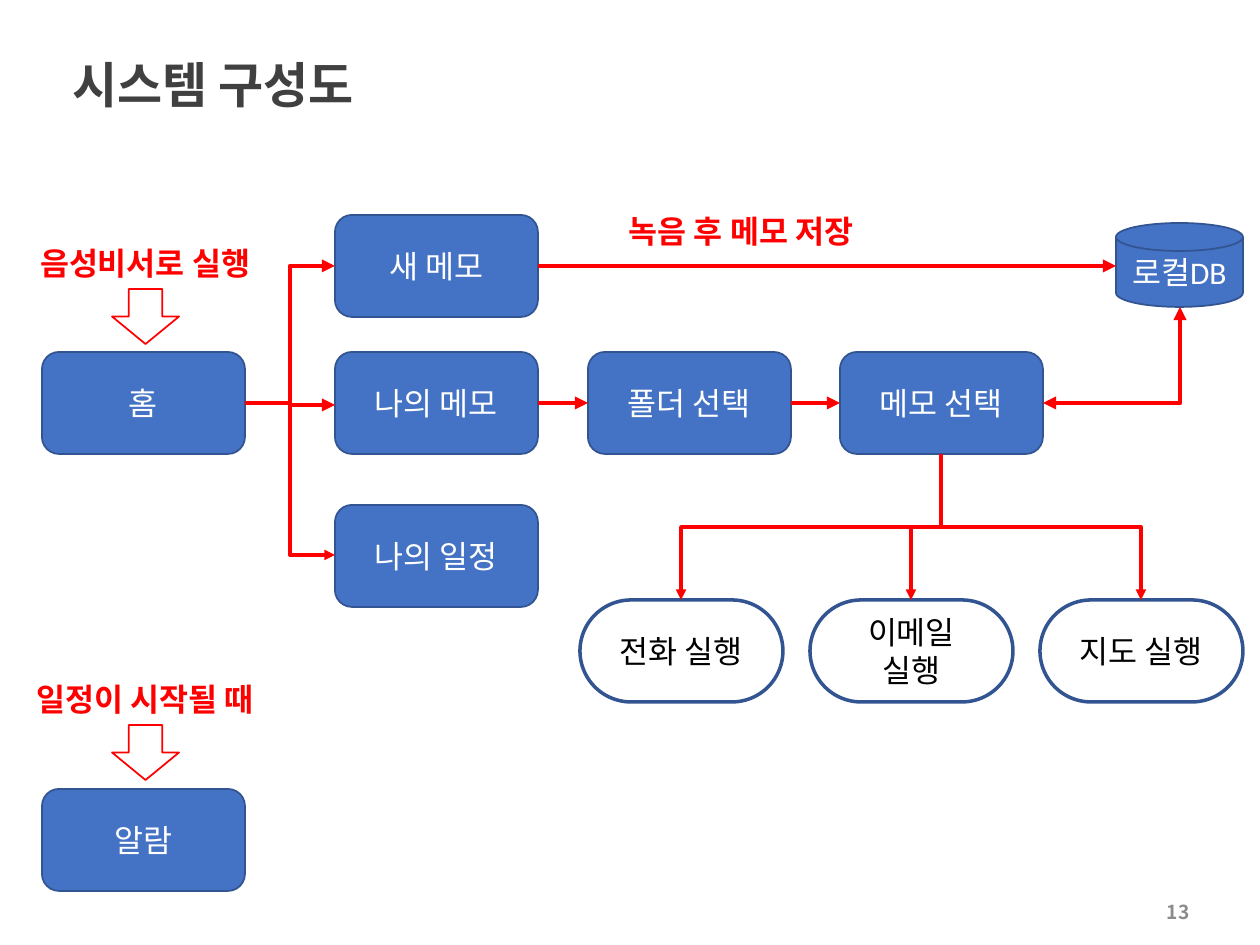
from typing import NamedTuple, Optional

import pptx
import pptx.dml.color
import pptx.enum.shapes
import pptx.enum.text
import pptx.oxml
import pptx.oxml.ns
import pptx.util

RGBColor = pptx.dml.color.RGBColor
Kind = pptx.enum.shapes.MSO_SHAPE
Link = pptx.enum.shapes.MSO_CONNECTOR
Anchor = pptx.enum.text.MSO_ANCHOR
Align = pptx.enum.text.PP_ALIGN
Pt = pptx.util.Pt

BLUE = RGBColor(0x44, 0x72, 0xC4)
NAVY = RGBColor(0x32, 0x54, 0x91)
RED = RGBColor(0xFF, 0x00, 0x00)
WHITE = RGBColor(0xFF, 0xFF, 0xFF)
BLACK = RGBColor(0x00, 0x00, 0x00)
TITLE_GREY = RGBColor(0x40, 0x40, 0x40)
NUMBER_GREY = RGBColor(0x8C, 0x8C, 0x8C)

KOREAN_FONT = "Noto Sans CJK KR"
LATIN_FONT = "Calibri"
PX_PER_INCH = 126

# Grid of the diagram, in px
BOX_W, BOX_H = 203, 102
HOME_X, MENU_X, FOLDER_X, MEMO_X = 42, 335, 588, 840
NEW_Y, MAIN_Y, SCHEDULE_Y, ALARM_Y = 215, 352, 505, 789
ACTION_X, ACTION_Y, ACTION_STEP = 580, 600, 230
DB_X, DB_Y, DB_W, DB_H = 1116, 223, 127, 84
NEW_MID, MAIN_MID, SCHEDULE_MID = 266, 403, 555


class Style(NamedTuple):
    kind: int
    fill: Optional[RGBColor]
    outline: RGBColor
    weight: int
    ink: RGBColor
    rounding: Optional[float] = None


class Node(NamedTuple):
    text: str
    x: int
    y: int
    style: Style
    w: int = BOX_W
    h: int = BOX_H


class Label(NamedTuple):
    text: str
    x: int
    y: int
    w: int


class Flow(NamedTuple):
    start: tuple[int, int]
    end: tuple[int, int]
    weight: float = 2.5
    route: str = "straight"
    both_ends: bool = False


SCREEN = Style(Kind.ROUNDED_RECTANGLE, BLUE, NAVY, 1, WHITE)
ACTION = Style(Kind.ROUNDED_RECTANGLE, None, NAVY, 2, BLACK, 0.5)
DATABASE = Style(Kind.FLOWCHART_MAGNETIC_DISK, BLUE, NAVY, 1, WHITE)
TRIGGER = Style(Kind.DOWN_ARROW, None, RED, 1, RED)

ACTIONS = ["전화 실행", "이메일 실행", "지도 실행"]
NODES = [
    Node("홈", HOME_X, MAIN_Y, SCREEN),
    Node("새 메모", MENU_X, NEW_Y, SCREEN),
    Node("나의 메모", MENU_X, MAIN_Y, SCREEN),
    Node("나의 일정", MENU_X, SCHEDULE_Y, SCREEN),
    Node("폴더 선택", FOLDER_X, MAIN_Y, SCREEN),
    Node("메모 선택", MEMO_X, MAIN_Y, SCREEN),
    Node("알람", HOME_X, ALARM_Y, SCREEN),
    Node("로컬DB", DB_X, DB_Y, DATABASE, DB_W, DB_H),
    Node("", 112, 289, TRIGGER, 67, 55),
    Node("", 112, 725, TRIGGER, 67, 55),
] + [
    Node(action, ACTION_X + i * ACTION_STEP, ACTION_Y, ACTION)
    for i, action in enumerate(ACTIONS)
]

LABELS = [
    Label("음성비서로 실행", 17, 238, 256),
    Label("녹음 후 메모 저장", 606, 206, 270),
    Label("일정이 시작될 때", 14, 674, 262),
]

HOME_EXIT = (HOME_X + BOX_W, MAIN_MID)
MEMO_EXIT = (MEMO_X + BOX_W // 2, MAIN_Y + BOX_H)
FLOWS = [
    Flow(HOME_EXIT, (MENU_X, NEW_MID), route="across"),
    Flow(HOME_EXIT, (MENU_X, MAIN_MID + 2), route="across"),
    Flow(HOME_EXIT, (MENU_X, SCHEDULE_MID), 2, "across"),
    Flow((MENU_X + BOX_W, NEW_MID), (DB_X, NEW_MID)),
    Flow((MENU_X + BOX_W, MAIN_MID), (FOLDER_X, MAIN_MID)),
    Flow((FOLDER_X + BOX_W, MAIN_MID), (MEMO_X, MAIN_MID)),
    Flow((MEMO_X + BOX_W, MAIN_MID), (DB_X + DB_W // 2 + 1, DB_Y + DB_H),
         route="corner", both_ends=True),
] + [
    Flow(MEMO_EXIT, (ACTION_X + i * ACTION_STEP + BOX_W // 2, ACTION_Y), 2, "down")
    for i in range(len(ACTIONS))
]


def px(length: float) -> int:
    return round(length * 914400 / PX_PER_INCH)


def write(frame, text: str, size: int, ink: RGBColor, align=Align.CENTER,
          bold: bool = False, font: str = LATIN_FONT) -> None:
    paragraph = frame.paragraphs[0]
    paragraph.alignment = align
    run = paragraph.add_run()
    run.text = text
    run.font.size = Pt(size)
    run.font.bold = bold
    run.font.name = font
    run.font.color.rgb = ink
    east_asian = pptx.oxml.ns.qn("a:ea")
    run.font._element.get_or_add_latin().addnext(
        run.font._element.makeelement(east_asian, {"typeface": KOREAN_FONT}))


def draw_node(slide, node: Node) -> None:
    style = node.style
    shape = slide.shapes.add_shape(
        style.kind, px(node.x), px(node.y), px(node.w), px(node.h))
    shape.shadow.inherit = False
    if style.rounding is not None:
        shape.adjustments[0] = style.rounding
    if style.fill is None:
        shape.fill.background()
    else:
        shape.fill.solid()
        shape.fill.fore_color.rgb = style.fill
    shape.line.color.rgb = style.outline
    shape.line.width = Pt(style.weight)
    if node.text:
        shape.text_frame.vertical_anchor = Anchor.MIDDLE
        write(shape.text_frame, node.text, 18, style.ink)


def draw_label(slide, label: Label) -> None:
    box = slide.shapes.add_textbox(px(label.x), px(label.y), px(label.w), px(51))
    box.text_frame.word_wrap = False
    write(box.text_frame, label.text, 18, RED, bold=True)


def draw_flow(slide, flow: Flow) -> None:
    (x1, y1), (x2, y2) = flow.start, flow.end
    if flow.route == "down":
        # Lay the elbow on its side about its centre; a quarter turn stands it up
        cx, cy, dx, dy = (x1 + x2) / 2, (y1 + y2) / 2, x2 - x1, y2 - y1
        x1, y1, x2, y2 = cx - dy / 2, cy + dx / 2, cx + dy / 2, cy - dx / 2
    link = Link.STRAIGHT if flow.route == "straight" else Link.ELBOW
    connector = slide.shapes.add_connector(link, px(x1), px(y1), px(x2), px(y2))
    connector.line.color.rgb = RED
    connector.line.width = Pt(flow.weight)

    properties = connector._element.spPr
    if flow.route == "down":
        properties.find(pptx.oxml.ns.qn("a:xfrm")).set("rot", "5400000")
    elif flow.route == "corner":
        properties.find(pptx.oxml.ns.qn("a:prstGeom")).set("prst", "bentConnector2")
    line = properties.find(pptx.oxml.ns.qn("a:ln"))
    for end in ["a:headEnd", "a:tailEnd"] if flow.both_ends else ["a:tailEnd"]:
        line.append(line.makeelement(pptx.oxml.ns.qn(end), {"type": "triangle"}))
    properties.append(properties.makeelement(pptx.oxml.ns.qn("a:effectLst"), {}))


def main() -> None:
    deck = pptx.Presentation()
    deck.slide_width, deck.slide_height = px(1260), px(945)
    slide = deck.slides.add_slide(deck.slide_layouts[5])

    # Title
    title = slide.shapes.title
    title.left, title.top, title.width, title.height = px(60), px(19), px(1142), px(101)
    title.text_frame.vertical_anchor = Anchor.BOTTOM
    title.text_frame.paragraphs[0].line_spacing = 0.9
    write(title.text_frame, "시스템 구성도", 28, TITLE_GREY, Align.LEFT, True, KOREAN_FONT)

    # Diagram
    for node in NODES:
        draw_node(slide, node)
    for label in LABELS:
        draw_label(slide, label)
    for flow in FLOWS:
        draw_flow(slide, flow)

    # Page number
    page = slide.shapes.add_textbox(px(919), px(897), px(283), px(29)).text_frame
    page.word_wrap = True
    page.vertical_anchor = Anchor.MIDDLE
    write(page, "13", 11, NUMBER_GREY, Align.RIGHT, True, KOREAN_FONT)

    deck.save("out.pptx")


if __name__ == "__main__":
    main()
